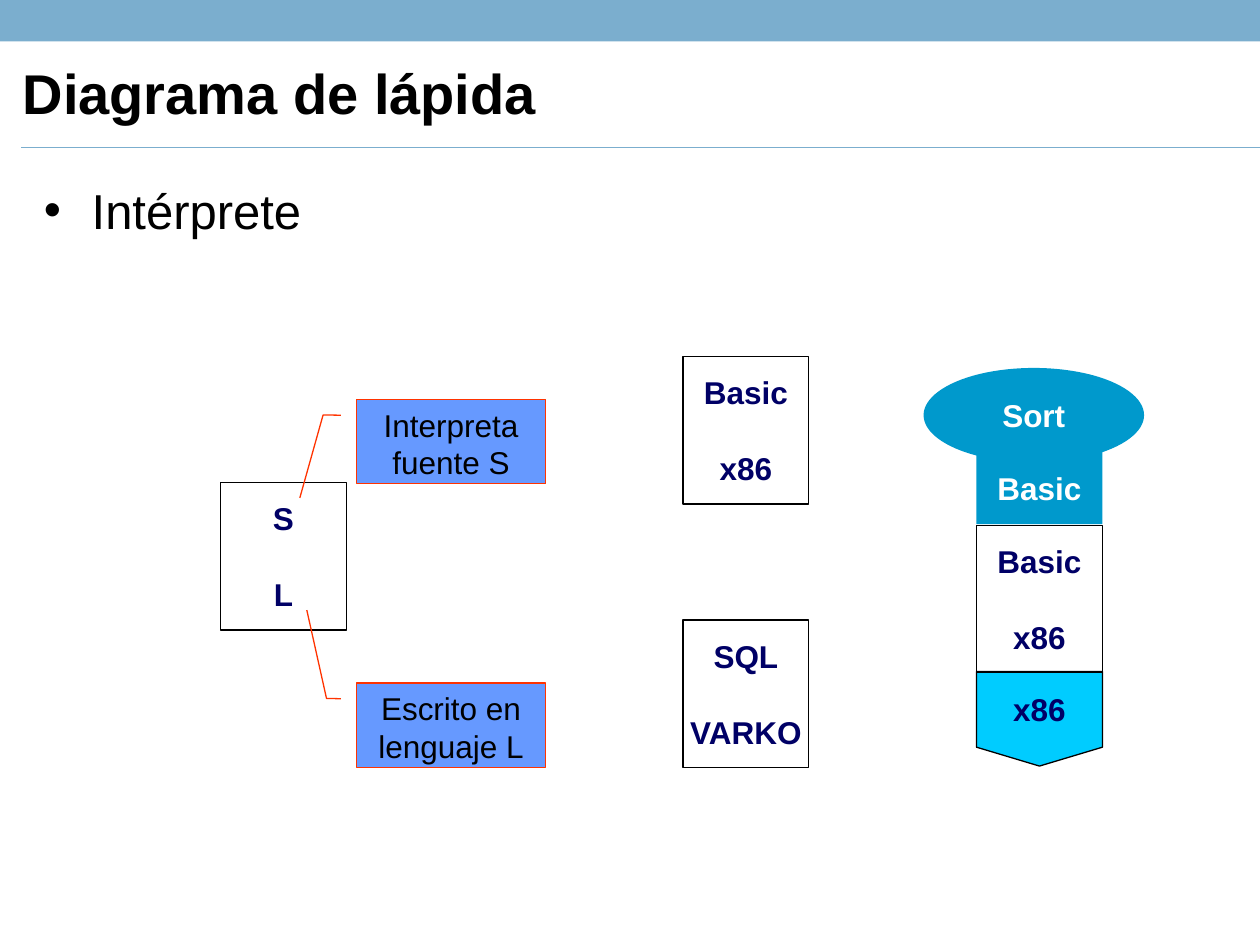
from dataclasses import dataclass

from lxml import etree
from pptx import Presentation
from pptx.dml.color import RGBColor
from pptx.enum import shapes, text
from pptx.oxml.ns import qn
from pptx.util import Inches, Pt

KIND = shapes.MSO_SHAPE


@dataclass(frozen=True)
class Theme:
    font: str = "Arial"
    black: str = "000000"
    white: str = "FFFFFF"
    navy: str = "000066"
    bar: str = "7BAECE"
    note: str = "6699FF"
    red: str = "FF3300"
    prog: str = "0099CC"
    chip: str = "00CCFF"
    title: int = 32
    body: int = 28
    label: int = 18
    gap: int = 22
    line: float = 0.75


@dataclass(frozen=True)
class Block:
    kind: int
    x: float
    y: float
    w: float
    h: float
    words: str = ""
    fill: str | None = None
    edge: str | None = None
    ink: str = "000066"
    bold: bool = True
    wrap: bool = False
    bends: tuple[float, ...] = ()


T = Theme()


def style(frame, size: int, ink: str, bold: bool) -> None:
    for para in frame.paragraphs:
        for run in para.runs:
            font = run.font
            font.name, font.size, font.bold = T.font, Pt(size), bold
            font.color.rgb = RGBColor.from_string(ink)


def draw(parent, b: Block) -> None:
    shape = parent.add_shape(b.kind, *map(Inches, (b.x, b.y, b.w, b.h)))
    shape.shadow.inherit = False
    for i, bend in enumerate(b.bends):
        shape.adjustments[i] = bend
    if b.fill:
        shape.fill.solid()
        shape.fill.fore_color.rgb = RGBColor.from_string(b.fill)
    else:
        shape.fill.background()
    if b.edge:
        shape.line.color.rgb = RGBColor.from_string(b.edge)
        shape.line.width = Pt(T.line)
    else:
        shape.line.fill.background()
    if not b.words:
        return
    frame = shape.text_frame
    frame.text = b.words
    frame.word_wrap = b.wrap
    anchor = text.MSO_ANCHOR
    frame.vertical_anchor = anchor.TOP if b.wrap else anchor.MIDDLE
    for i, para in enumerate(frame.paragraphs):
        para.alignment = text.PP_ALIGN.CENTER
        if i:
            para.space_before = Pt(T.gap)
    style(frame, T.label, b.ink, b.bold)


def tile(x: float, y: float, source: str, host: str) -> Block:
    """An interpreter: the language it runs above the one it is written in."""
    return Block(KIND.RECTANGLE, x, y, 1, 1.17, f"{source}\n{host}", edge=T.black)


def note(y: float, words: str, bends: tuple[float, ...]) -> Block:
    return Block(KIND.LINE_CALLOUT_2, 2.83, y, 1.5, 0.67, words, T.note, T.red,
                 T.black, bold=False, wrap=True, bends=(0.188, -0.083, 0.185, *bends))


def head(slide) -> None:
    draw(slide.shapes, Block(KIND.RECTANGLE, 0, 0, 10, 0.33, fill=T.bar))
    rule = slide.shapes.add_connector(
        shapes.MSO_CONNECTOR.STRAIGHT, *map(Inches, (0.17, 1.17, 10, 1.17)))
    rule.line.color.rgb = RGBColor.from_string(T.bar)
    rule.line.width = Pt(1)
    etree.SubElement(rule._element.spPr, qn("a:effectLst"))

    title = slide.shapes.title
    title.left, title.top, title.width, title.height = map(Inches, (0.08, 0.35, 9.92, 0.83))
    frame = title.text_frame
    frame.text = "Diagrama de lápida"
    frame.vertical_anchor = text.MSO_ANCHOR.MIDDLE
    para = frame.paragraphs[0]
    para.alignment = text.PP_ALIGN.LEFT
    para.line_spacing = 0.9
    style(frame, T.title, T.black, True)


def body(slide) -> None:
    box = slide.shapes.add_textbox(*map(Inches, (0.25, 1.38, 9.5, 5.62)))
    frame = box.text_frame
    frame.word_wrap = True
    frame.text = "Intérprete"
    props = frame.paragraphs[0]._p.get_or_add_pPr()
    props.set("marL", str(Inches(0.38)))
    props.set("indent", str(-Inches(0.38)))
    etree.SubElement(props, qn("a:buFont"), typeface=T.font)
    etree.SubElement(props, qn("a:buChar"), char="•")
    style(frame, T.body, T.black, False)


def main() -> None:
    deck = Presentation()
    deck.slide_width, deck.slide_height = Inches(10), Inches(7.5)
    slide = deck.slides.add_slide(deck.slide_layouts[5])
    head(slide)
    body(slide)

    blocks = (
        tile(1.75, 3.83, "S", "L"),
        note(3.17, "Interpreta fuente S", (-0.177, 1.167, -0.3)),
        Block(KIND.FLOWCHART_OFFPAGE_CONNECTOR, 7.75, 5.33, 1, 0.75, "x86", T.chip, T.black),
        note(5.42, "Escrito en lenguaje L", (-0.159, -0.862, -0.263)),
        tile(7.75, 4.17, "Basic", "x86"),
        tile(5.42, 2.83, "Basic", "x86"),
        tile(5.42, 4.92, "SQL", "VARKO"),
    )
    for block in blocks:
        draw(slide.shapes, block)

    group = slide.shapes.add_group_shape().shapes
    draw(group, Block(KIND.RECTANGLE, 7.75, 3.58, 1, 0.58, "Basic", T.prog, ink=T.white))
    draw(group, Block(KIND.OVAL, 7.33, 2.92, 1.75, 0.75, "Sort", T.prog, ink=T.white))
    deck.save("out.pptx")


if __name__ == "__main__":
    main()
